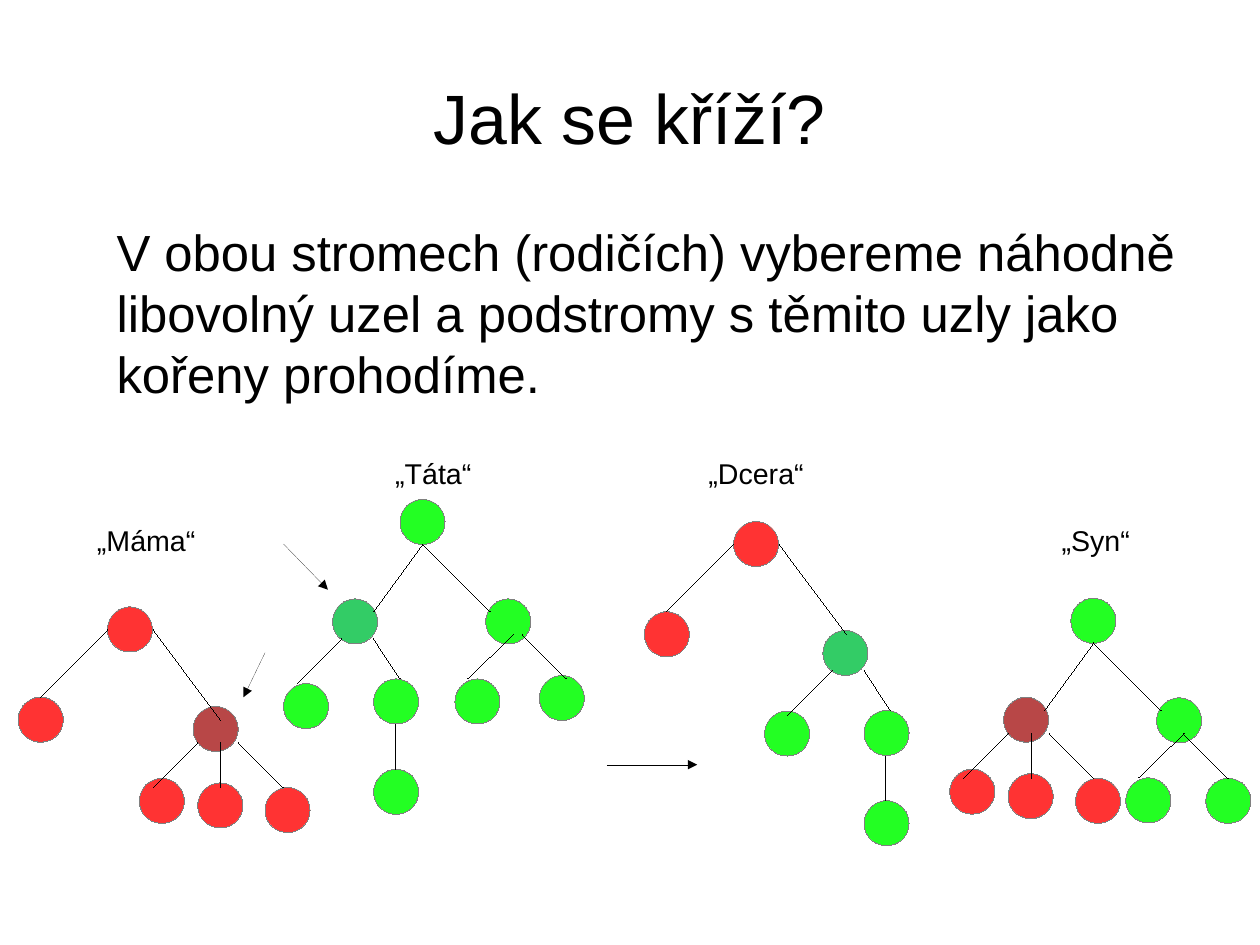
from lxml import etree
from pptx import Presentation
from pptx.dml.color import RGBColor
from pptx.enum.shapes import MSO_CONNECTOR, MSO_SHAPE
from pptx.enum.text import MSO_ANCHOR, MSO_AUTO_SIZE, PP_ALIGN
from pptx.oxml.ns import qn
from pptx.util import Pt

OVAL = MSO_SHAPE.OVAL
LINE = MSO_CONNECTOR.STRAIGHT
MIDDLE, TOP = MSO_ANCHOR.MIDDLE, MSO_ANCHOR.TOP
CENTER, LEFT = PP_ALIGN.CENTER, PP_ALIGN.LEFT
FIXED, GROW = MSO_AUTO_SIZE.NONE, MSO_AUTO_SIZE.SHAPE_TO_FIT_TEXT

BLACK = RGBColor(0x00, 0x00, 0x00)
GRAY = RGBColor(0x80, 0x80, 0x80)
RED = RGBColor(0xFF, 0x33, 0x33)
MAROON = RGBColor(0xB8, 0x47, 0x47)
GREEN = RGBColor(0x23, 0xFF, 0x23)
TEAL = RGBColor(0x33, 0xCC, 0x66)

FONT = "Arial"
SIZE = 28.35  # node diameter

# Tree parts: colour of first node, colour of others, nodes, edges
MUM_TOP = (RED, RED, [(67.7, 382.3), (11.5, 439.2)],
           [(67.7, 396.7, 25.2, 439.2), (96.5, 396.7, 139, 453.6)])
MUM_SUB = (MAROON, RED,
           [(121.7, 445), (87.8, 490.3), (124.6, 493.2), (167, 496.1)],
           [(124.6, 468, 96.5, 496.1), (139, 468, 139, 496.1),
            (178.6, 496.1, 150.5, 468)])
DAD_TOP = (GREEN, GREEN, [(252, 314.6), (306, 377.3), (286.6, 427.7)],
           [(235.4, 385.2, 266.4, 342.7), (308.9, 385.2, 266.4, 342.7),
            (294.5, 427.7, 323.3, 399.6)])
DAD_TIP = (GREEN, GREEN, [(339.8, 425.5)], [])
TIP_EDGE = (GREEN, GREEN, [], [(357.1, 427.7, 329, 399.6)])
DAD_SUB = (TEAL, GREEN, [(209.5, 377.3), (235.4, 427.7), (235.4, 484.6)],
           [(187.2, 430.6, 215.3, 402.5), (252, 427.7, 235.4, 402.5),
            (249.1, 484.6, 249.1, 456.5)])
SUB_LEAF = (GREEN, GREEN, [(178.6, 430.6)], [])

# Each part with its shift from the parent to the child tree
SWAPS = [
    (MUM_TOP, 394.4, -53.8), (MUM_SUB, 510.5, -5.8),
    (DAD_TOP, 422.6, 62.3), (DAD_TIP, 419.8, 64.8),
    (TIP_EDGE, 416.5, 62.6), (SUB_LEAF, 303.1, 17.3),
    (DAD_SUB, 308.9, 19.8),
]
ARROWS = [(382.3, 481.7, 439.2, 481.7), (167, 411.1, 153.4, 439.2),
          (178.6, 342.7, 206.6, 371.5)]
LABELS = [("„Máma“", 54, 325.8, 76.5), ("„Táta“", 241.9, 283.5, 62.7),
          ("„Dcera“", 439.2, 283.5, 74.3), ("„Syn“", 661.7, 325.8, 57.3)]


def place(shape, left, top, width, height):
    shape.left, shape.top = Pt(left), Pt(top)
    shape.width, shape.height = Pt(width), Pt(height)


def add_run(para, text, size):
    run = para.add_run()
    run.text = text
    run.font.name = FONT
    run.font.size = Pt(size)
    run.font.color.rgb = BLACK


def fill_holder(shape, text, size, align, anchor):
    frame = shape.text_frame
    frame.margin_left = frame.margin_right = Pt(0)
    frame.margin_top = frame.margin_bottom = Pt(0)
    frame.vertical_anchor = anchor
    frame.auto_size = FIXED
    frame.word_wrap = True
    para = frame.paragraphs[0]
    para.alignment = align
    para.space_before = Pt(0)
    add_run(para, text, size)
    return para


def add_label(slide, text, left, top, width):
    box = slide.shapes.add_textbox(Pt(left), Pt(top), Pt(width), Pt(27.4))
    box.text_frame.word_wrap = False
    box.text_frame.auto_size = GROW
    add_run(box.text_frame.paragraphs[0], text, 18)


def set_hair(shape, color):
    shape.line.color.rgb = color
    edge = shape._element.spPr.find(qn("a:ln"))
    edge.set("w", "0")
    return edge


def add_node(slide, left, top, color):
    node = slide.shapes.add_shape(OVAL, Pt(left), Pt(top), Pt(SIZE), Pt(SIZE))
    node.shadow.inherit = False
    node.fill.solid()
    node.fill.fore_color.rgb = color
    set_hair(node, GRAY)


def add_line(slide, x1, y1, x2, y2, arrow=False):
    line = slide.shapes.add_connector(LINE, Pt(x1), Pt(y1), Pt(x2), Pt(y2))
    edge = set_hair(line, BLACK)
    if arrow:
        etree.SubElement(edge, qn("a:tailEnd")).set("type", "triangle")
    etree.SubElement(line._element.spPr, qn("a:effectLst"))


def add_nodes(slide, part, dx=0, dy=0):
    first, other, nodes, _ = part
    for i, (x, y) in enumerate(nodes):
        add_node(slide, x + dx, y + dy, other if i else first)


def add_edges(slide, part, dx=0, dy=0):
    for x1, y1, x2, y2 in part[3]:
        add_line(slide, x1 + dx, y1 + dy, x2 + dx, y2 + dy)


def main():
    deck = Presentation()
    deck.slide_width, deck.slide_height = Pt(793.7), Pt(595.28)
    slide = deck.slides.add_slide(deck.slide_layouts[1])

    # Title and body
    title, body = slide.placeholders
    place(title, 39.6, 23.8, 714.2, 99.4)
    fill_holder(title, "Jak se kříží?", 44, CENTER, MIDDLE)
    place(body, 39.6, 139, 714.2, 345.6)
    para = fill_holder(
        body, "V obou stromech (rodičích) vybereme náhodně libovolný uzel "
        "a podstromy s těmito uzly jako kořeny prohodíme.", 32, LEFT, TOP)
    para.space_after = Pt(14.2)
    props = para._p.get_or_add_pPr()
    props.set("marL", str(Pt(33.8)))
    props.set("indent", "0")
    etree.SubElement(props, qn("a:buNone"))

    # Parents and children, edges above nodes
    for add in (add_nodes, add_edges):
        for part, dx, dy in SWAPS:
            add(slide, part)
            add(slide, part, dx, dy)

    # Arrows and names
    for ends in ARROWS:
        add_line(slide, *ends, arrow=True)
    for label in LABELS:
        add_label(slide, *label)

    deck.save("out.pptx")


if __name__ == "__main__":
    main()
